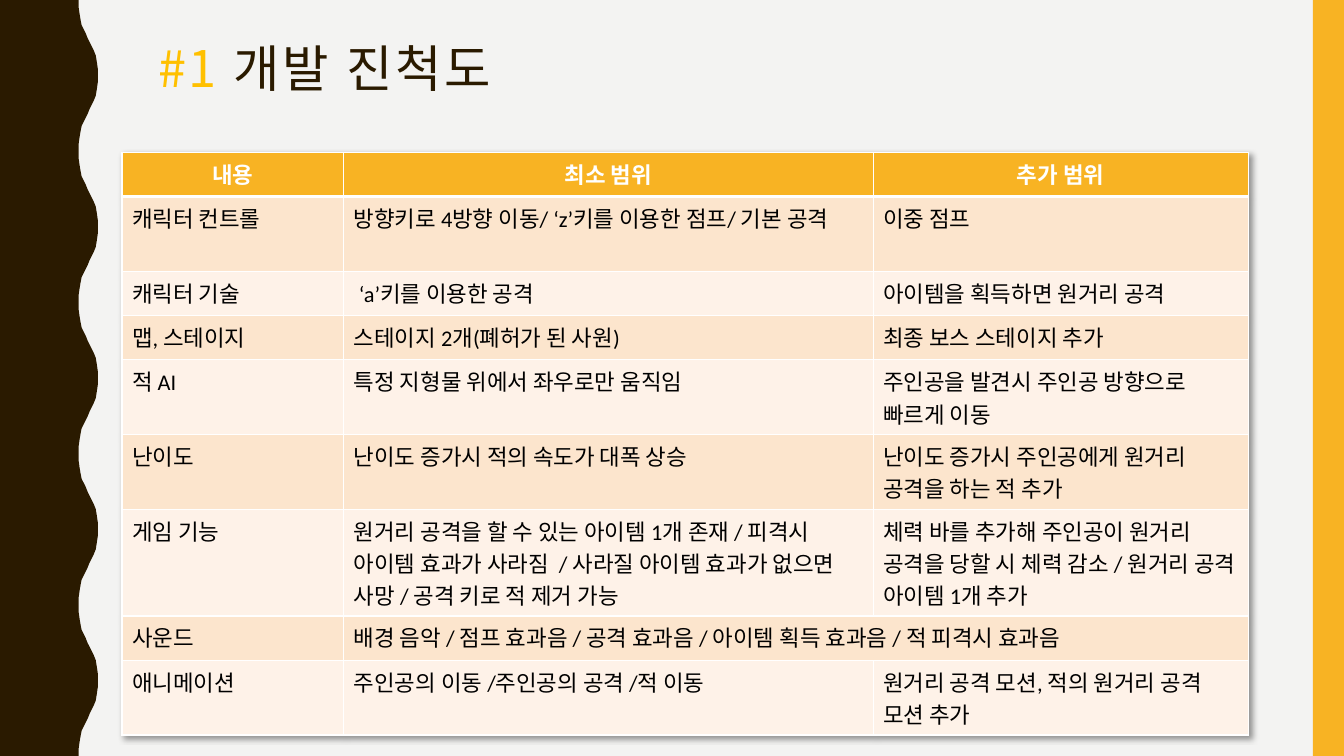
from lxml import etree
from pptx import Presentation
from pptx.dml.color import RGBColor
from pptx.enum import shapes, text
from pptx.oxml import parse_xml
from pptx.oxml.ns import nsdecls, qn
from pptx.util import Inches, Pt

DARK, AMBER, WHITE = "2A1A00", "F8B323", "FFFFFF"
BANDS = ["FCE5CD", "FEF2E8"]


def paint(fill, color):
    fill.solid()
    fill.fore_color.rgb = RGBColor.from_string(color)


def style(r, size, font, color, bold=False):
    r.font.size, r.font.name, r.font.bold = Pt(size), font, bold
    r.font.color.rgb = RGBColor.from_string(color)
    ea = etree.SubElement(r.font._element, qn("a:ea"))
    ea.set("typeface", "Noto Sans CJK KR")


prs = Presentation()
prs.slide_width, prs.slide_height = Inches(13.33), Inches(7.5)
s = prs.slides.add_slide(prs.slide_layouts[6])
paint(s.background.fill, "F3F3F2")

# Wavy left edge: ten half waves, each the mirror of the one before
wave_x = [0.78, 0.78, 0.79, 0.8, 0.81, 0.83, 0.85, 0.87,
          0.89, 0.91, 0.93, 0.95, 0.96, 0.97, 0.97]
wave_y = [0, 0.07, 0.14, 0.2, 0.25, 0.29, 0.33, 0.38,
          0.42, 0.46, 0.5, 0.55, 0.61, 0.68, 0.75]
points = []
for half in range(10):
    xs = wave_x if half % 2 == 0 else wave_x[::-1]
    points += [(Inches(x), Inches(y + half * 0.75)) for x, y in zip(xs, wave_y)]
fb = s.shapes.build_freeform(0, 0)
fb.add_line_segments(points + [(0, Inches(7.5))], close=True)
wave = fb.convert_to_shape()

# Right bar
bar = s.shapes.add_shape(shapes.MSO_SHAPE.RECTANGLE, Inches(13.02), 0,
                         Inches(0.31), Inches(7.5))
for sp, color in [(wave, DARK), (bar, AMBER)]:
    paint(sp.fill, color)
    sp.line.fill.background()
    sp.shadow.inherit = False

# Progress table
rows = [
    ("내용", "최소 범위", "추가 범위"),
    ("캐릭터 컨트롤", "방향키로 4방향 이동/ ‘z’키를 이용한 점프/ 기본 공격", "이중 점프"),
    ("캐릭터 기술", " ‘a’키를 이용한 공격", "아이템을 획득하면 원거리 공격"),
    ("맵, 스테이지", "스테이지 2개(폐허가 된 사원)", "최종 보스 스테이지 추가"),
    ("적 AI", "특정 지형물 위에서 좌우로만 움직임",
     "주인공을 발견시 주인공 방향으로 빠르게 이동"),
    ("난이도", "난이도 증가시 적의 속도가 대폭 상승",
     "난이도 증가시 주인공에게 원거리 공격을 하는 적 추가"),
    ("게임 기능",
     "원거리 공격을 할 수 있는 아이템 1개 존재 / 피격시 아이템 효과가 사라짐  / "
     "사라질 아이템 효과가 없으면 사망 / 공격 키로 적 제거 가능",
     "체력 바를 추가해 주인공이 원거리 공격을 당할 시 체력 감소 / 원거리 공격 아이템 1개 추가"),
    ("사운드", "배경 음악 / 점프 효과음 / 공격 효과음 / 아이템 획득 효과음 / 적 피격시 효과음", ""),
    ("애니메이션", "주인공의 이동 /주인공의 공격 /적 이동",
     "원거리 공격 모션, 적의 원거리 공격 모션 추가"),
]
col_widths = [2.2, 5.25, 3.72]
row_heights = [0.44, 0.44, 0.44, 0.44, 0.69, 0.69, 0.98, 0.44, 0.69]
table = s.shapes.add_table(len(rows), 3, Inches(1.21), Inches(1.51),
                           Inches(11.17), Inches(5.25)).table
table.horz_banding = False
for col, width in zip(table.columns, col_widths):
    col.width = Inches(width)
for row, height in zip(table.rows, row_heights):
    row.height = Inches(height)
table.cell(7, 1).merge(table.cell(7, 2))

for i, row in enumerate(rows):
    for j, words in enumerate(row):
        cell = table.cell(i, j)
        tcPr = cell._tc.get_or_add_tcPr()
        for side in "LRTB":
            thick = (i, side) in [(0, "B"), (1, "T")]
            tcPr.append(parse_xml(
                f'<a:ln{side} {nsdecls("a")} w="{Pt(3 if thick else 1)}"><a:solidFill>'
                f'<a:srgbClr val="{WHITE}"/></a:solidFill></a:ln{side}>'))
        paint(cell.fill, BANDS[(i - 1) % 2] if i else AMBER)
        p = cell.text_frame.paragraphs[0]
        p.text = words
        p.alignment = text.PP_ALIGN.LEFT if i else text.PP_ALIGN.CENTER
        for r in p.runs:
            style(r, 16, "Calibri", "000000" if i else WHITE, bold=i == 0)

# Soft shadow behind the table
table._tbl.tblPr.insert(0, parse_xml(
    f'<a:effectLst {nsdecls("a")}><a:outerShdw blurRad="50800" dist="38100" '
    'dir="2700000" algn="tl" rotWithShape="0"><a:srgbClr val="000000">'
    '<a:alpha val="40000"/></a:srgbClr></a:outerShdw></a:effectLst>'))

# Title
tf = s.shapes.add_textbox(Inches(0.95), Inches(0.39), Inches(4.54),
                          Inches(1.63)).text_frame
tf.word_wrap = True
p = tf.paragraphs[0]
p.alignment, p.line_spacing = text.PP_ALIGN.CENTER, 0.9
for words, color in [("#1 ", "FFC000"), ("개발 진척도", DARK)]:
    r = p.add_run()
    r.text = words
    style(r, 36, "Noto Sans CJK KR", color)
    r.font._element.set("spc", "200")

prs.save("out.pptx")
